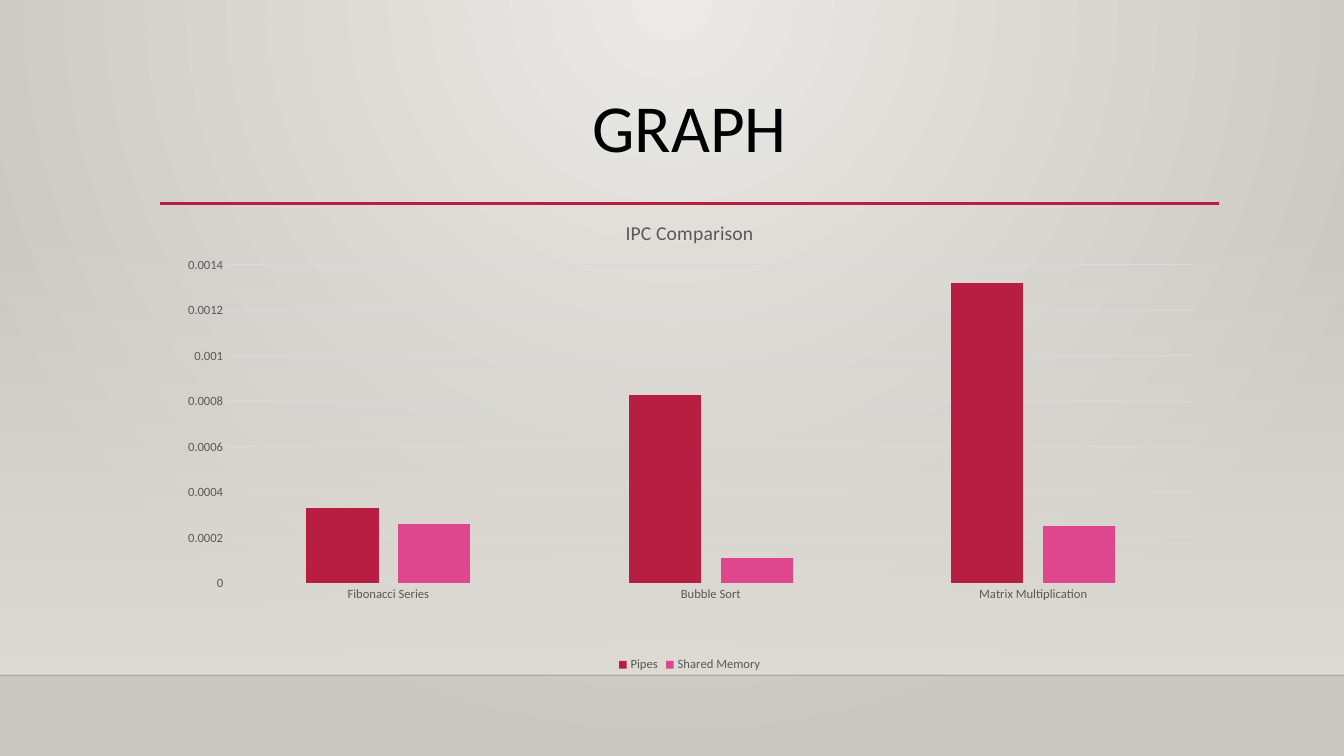
from lxml import etree
from pptx import Presentation
from pptx.chart.data import CategoryChartData
from pptx.dml.color import RGBColor
from pptx.enum.chart import XL_CHART_TYPE, XL_LEGEND_POSITION, XL_TICK_MARK
from pptx.enum.shapes import MSO_CONNECTOR, MSO_SHAPE
from pptx.enum.text import MSO_ANCHOR, PP_ALIGN
from pptx.oxml import parse_xml
from pptx.oxml.ns import nsdecls, qn
from pptx.util import Inches, Pt

CLUSTERED = XL_CHART_TYPE.COLUMN_CLUSTERED
BOTTOM = XL_LEGEND_POSITION.BOTTOM
NO_TICK = XL_TICK_MARK.NONE
STRAIGHT = MSO_CONNECTOR.STRAIGHT
RECTANGLE = MSO_SHAPE.RECTANGLE
TOP = MSO_ANCHOR.TOP
CENTER = PP_ALIGN.CENTER

BLACK = RGBColor(0x00, 0x00, 0x00)
GRAY = RGBColor(0x59, 0x59, 0x59)
GRID_GRAY = RGBColor(0xD9, 0xD9, 0xD9)
CRIMSON = RGBColor(0xB7, 0x1E, 0x42)
PINK = RGBColor(0xDE, 0x47, 0x8E)
SAND = RGBColor(0xDF, 0xDB, 0xD5)
BACK_LIGHT = RGBColor(0xEC, 0xEA, 0xE7)
BACK_DARK = RGBColor(0xCA, 0xC7, 0xC1)

COLUMNS, ROWS = 160, 90
LEFT, CONTENT_WIDTH = 19.1, 126
FLOOR = 80.4

CIRCLE = '<a:path path="circle"><a:fillToRect l="43000" r="43000" b="100000"/></a:path>'
DOWNWARD = '<a:lin ang="5400000" scaled="0"/>'


def format_font(font, size, color, name="Calibri"):
    font.size = Pt(size)
    font.name = name
    font.bold = False
    font.color.rgb = color


def write_text(frame, text, size, color, align=CENTER, spacing=None):
    frame.text = text
    paragraph = frame.paragraphs[0]
    paragraph.alignment = align
    paragraph.line_spacing = spacing
    format_font(paragraph.runs[0].font, size, color)


def set_gradient(fill, parent, start, end, direction, start_alpha=100):
    fill.gradient()
    gradient = parse_xml(
        f'<a:gradFill {nsdecls("a")} rotWithShape="1"><a:gsLst>'
        f'<a:gs pos="0"><a:srgbClr val="{start}"><a:alpha val="{start_alpha * 1000}"/></a:srgbClr></a:gs>'
        f'<a:gs pos="100000"><a:srgbClr val="{end}"/></a:gs>'
        f'</a:gsLst>{direction}</a:gradFill>')
    parent.replace(parent.find(qn("a:gradFill")), gradient)


class SlideBuilder:
    """Draws styled elements on one slide, placed by grid columns and rows."""

    def __init__(self, presentation):
        self.column = presentation.slide_width / COLUMNS
        self.row = presentation.slide_height / ROWS
        self.slide = presentation.slides.add_slide(presentation.slide_layouts[5])

    def place(self, column, row, width, height):
        return (round(column * self.column), round(row * self.row),
                round(width * self.column), round(height * self.row))

    def background(self):
        fill = self.slide.background.fill
        properties = self.slide._element.find(".//" + qn("p:bgPr"))
        set_gradient(fill, properties, BACK_LIGHT, BACK_DARK, CIRCLE)

    def wall(self, *box):
        shape = self.slide.shapes.add_shape(RECTANGLE, *self.place(*box))
        shape.shadow.inherit = False
        shape.line.fill.background()
        set_gradient(shape.fill, shape._element.spPr, SAND, SAND, DOWNWARD, start_alpha=0)

    def rule(self, column, row, width, color, weight, alpha=100):
        x, y, length, _ = self.place(column, row, width, 0)
        connector = self.slide.shapes.add_connector(STRAIGHT, x, y, x + length, y)
        connector.line.color.rgb = color
        connector.line.width = Pt(weight)
        properties = connector._element.spPr
        color_element = properties.find(".//" + qn("a:srgbClr"))
        etree.SubElement(color_element, qn("a:alpha")).set("val", str(alpha * 1000))
        etree.SubElement(properties, qn("a:effectLst"))

    def title(self, text, *box):
        shape = self.slide.shapes.title
        shape.left, shape.top, shape.width, shape.height = self.place(*box)
        shape.text_frame.vertical_anchor = TOP
        write_text(shape.text_frame, text, 48, BLACK, spacing=0.9)

    def column_chart(self, title, categories, series, plot, *box):
        data = CategoryChartData()
        data.categories = categories
        for name, values, _ in series:
            data.add_series(name, values)
        chart = self.slide.shapes.add_chart(CLUSTERED, *self.place(*box), data).chart
        format_font(chart.font, 10, BLACK)
        chart.has_title = True
        write_text(chart.chart_title.text_frame, title, 14, GRAY)
        chart.chart_title.include_in_layout = False

        bars = chart.plots[0]
        bars.gap_width, bars.overlap, bars.vary_by_categories = 219, -27, False
        for bar_series, (_, _, color) in zip(bars.series, series):
            bar_series.format.fill.solid()
            bar_series.format.fill.fore_color.rgb = color

        for axis in (chart.category_axis, chart.value_axis):
            axis.major_tick_mark = axis.minor_tick_mark = NO_TICK
            format_font(axis.tick_labels.font, 9, GRAY)
        values_axis = chart.value_axis
        values_axis.minimum_scale, values_axis.maximum_scale = 0, 0.0014
        values_axis.major_unit = 0.0002
        values_axis.format.line.fill.background()
        for line in (chart.category_axis.format.line, values_axis.major_gridlines.format.line):
            line.color.rgb = GRID_GRAY
            line.width = Pt(0.75)

        chart.has_legend = True
        chart.legend.position = BOTTOM
        chart.legend.include_in_layout = False
        format_font(chart.legend.font, 9, GRAY)
        self.set_plot_area(chart, plot)

    def set_plot_area(self, chart, plot):
        area = chart._chartSpace.find(".//" + qn("c:plotArea"))
        for old_layout in area.findall(qn("c:layout")):
            area.remove(old_layout)
        shares = "".join(f'<c:{key} val="{share}"/>' for key, share in zip("xywh", plot))
        area.insert(0, parse_xml(
            f'<c:layout {nsdecls("c")}><c:manualLayout><c:layoutTarget val="inner"/>'
            f'<c:xMode val="edge"/><c:yMode val="edge"/>{shares}</c:manualLayout></c:layout>'))


def main():
    presentation = Presentation()
    presentation.slide_width, presentation.slide_height = Inches(13.33), Inches(7.5)
    builder = SlideBuilder(presentation)
    builder.background()
    builder.wall(0, 26.5, COLUMNS, FLOOR - 26.5)
    builder.rule(0, FLOOR, COLUMNS, BLACK, 1, alpha=20)
    builder.rule(LEFT, 24.2, CONTENT_WIDTH, CRIMSON, 2.5)
    builder.title("GRAPH", LEFT, 10.6, CONTENT_WIDTH, 13.8)
    builder.column_chart(
        "IPC Comparison",
        ["Fibonacci Series", "Bubble Sort", "Matrix Multiplication"],
        [("Pipes", [0.00033, 0.00083, 0.00132], CRIMSON),
         ("Shared Memory", [0.00026, 0.00011, 0.00025], PINK)],
        (0.063, 0.135, 0.914, 0.67),
        LEFT, 23.9, CONTENT_WIDTH, 56.6)
    presentation.save("out.pptx")


if __name__ == "__main__":
    main()
